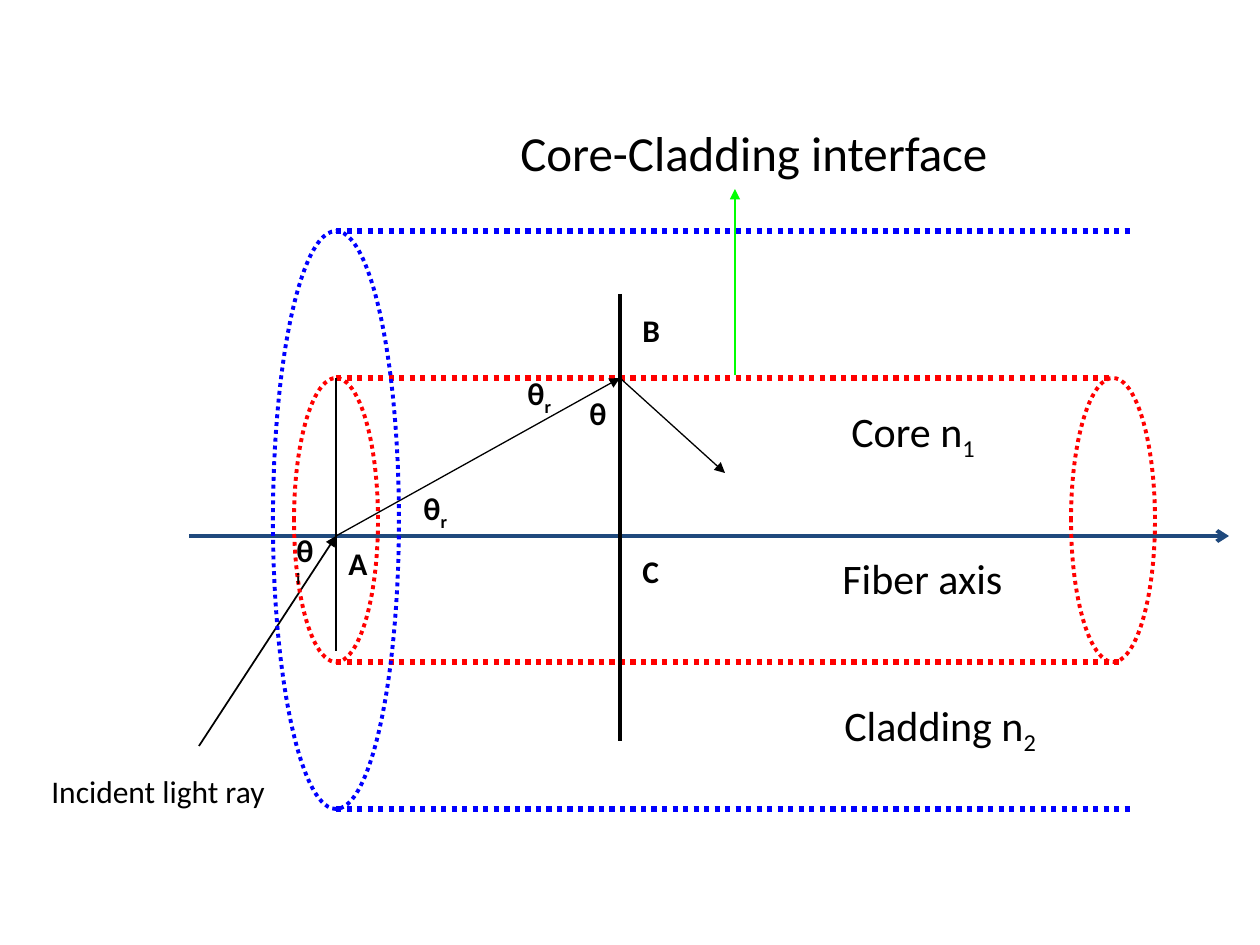
from lxml import etree
from pptx import Presentation
from pptx import util as u
from pptx.dml.color import RGBColor
from pptx.enum import dml, shapes, text
from pptx.oxml.ns import qn

THEME = {
    "font": "Calibri",
    "ink": "000000", "clad": "0000FF", "core": "FF0000",
    "axis": "1F497D", "mark": "00FF00",
    "head": 28, "part": 24, "note": 18, "tiny": 9,
}
PX = u.Inches(1) / 126

# Key positions in px
FACE, WALL = 336, 620                    # entry face, normal at point B
CLAD_TOP, CORE_TOP, AXIS, CORE_LOW, CLAD_LOW = 231, 378, 536, 662, 809

# left, top, width, height, colour
RINGS = [
    (273, CLAD_TOP, 126, CLAD_LOW - CLAD_TOP, "clad"),
    (294, CORE_TOP, 84, CORE_LOW - CORE_TOP, "core"),
    (1071, CORE_TOP, 84, CORE_LOW - CORE_TOP, "core"),
]

# start, end, colour, points, dotted, arrowhead
LINES = [
    ((FACE, CLAD_TOP), (1134, CLAD_TOP), "clad", 3, True, None),
    ((FACE, CORE_TOP), (1113, CORE_TOP), "core", 3, True, None),
    ((FACE, CORE_LOW), (1124, CORE_LOW), "core", 3, True, None),
    ((FACE, CLAD_LOW), (1134, CLAD_LOW), "clad", 3, True, None),
    ((189, AXIS), (1229, AXIS), "axis", 2.25, False, "arrow"),
    ((199, 746), (FACE, AXIS), "ink", 1, False, "triangle"),
    ((735, 375), (735, 189), "mark", 0.75, False, "triangle"),
    ((WALL, 294), (WALL, 741), "ink", 2.25, False, None),
    ((FACE, AXIS), (WALL, CORE_TOP), "ink", 0.75, False, "triangle"),
    ((WALL, CORE_TOP), (725, 473), "ink", 0.75, False, "triangle"),
    ((FACE, CORE_TOP), (FACE, 651), "ink", 0.75, False, None),
]

# left, top, width, height, size, bold, main text, suffix, suffix style
LABELS = [
    (508, 116, 494, 72, "head", False, "Core-Cladding interface", "", ""),
    (830, 546, 185, 63, "part", False, "Fiber axis", "", ""),
    (839, 399, 149, 71, "part", False, "Core n", "1", "sub"),
    (832, 693, 217, 71, "part", False, "Cladding n", "2", "sub"),
    (336, 538, 44, 50, "note", True, "A", "", ""),
    (630, 305, 43, 50, "note", True, "B", "", ""),
    (630, 546, 42, 50, "note", True, "C", "", ""),
    (411, 483, 49, 55, "note", True, "θ", "r", "sub"),
    (284, 525, 45, 50, "note", True, "θ", "i", "tiny"),
    (515, 368, 49, 55, "note", True, "θ", "r", "sub"),
    (577, 388, 42, 50, "note", True, "θ", "", ""),
    (39, 766, 241, 50, "note", False, "Incident light ray", "", ""),
]


def scale(*vals):
    return [round(v * PX) for v in vals]


def tint(name):
    return RGBColor.from_string(THEME[name])


def stroke(line, hue, width, dots):
    line.color.rgb = tint(hue)
    line.width = u.Pt(width)
    if dots:
        line.dash_style = dml.MSO_LINE.ROUND_DOT    # sysDot


def add_ring(slide, x, y, w, h, hue):
    ring = slide.shapes.add_shape(shapes.MSO_SHAPE.OVAL, *scale(x, y, w, h))
    ring.shadow.inherit = False
    ring.fill.background()
    stroke(ring.line, hue, 2.25, True)


def add_line(slide, start, end, hue, width, dots, tip):
    line = slide.shapes.add_connector(
        shapes.MSO_CONNECTOR.STRAIGHT, *scale(*start, *end))
    stroke(line.line, hue, width, dots)
    props = line._element.spPr
    if tip:
        etree.SubElement(props.find(qn("a:ln")), qn("a:tailEnd"), type=tip)
    etree.SubElement(props, qn("a:effectLst"))


def add_run(para, words, size, bold):
    run = para.add_run()
    run.text = words
    font = run.font
    font.name, font.size, font.bold = THEME["font"], u.Pt(THEME[size]), bold
    font.color.rgb = tint("ink")
    return run


def add_label(slide, x, y, w, h, size, bold, words, tail, style):
    frame = slide.shapes.add_textbox(*scale(x, y, w, h)).text_frame
    frame.word_wrap = False
    frame.auto_size = text.MSO_AUTO_SIZE.SHAPE_TO_FIT_TEXT
    para = frame.paragraphs[0]
    add_run(para, words, size, bold)
    if tail:
        run = add_run(para, tail, "tiny" if style == "tiny" else size, bold)
        if style == "sub":
            run._r.get_or_add_rPr().set("baseline", "-25000")


def main():
    deck = Presentation()
    deck.slide_width, deck.slide_height = scale(1260, 945)
    slide = deck.slides.add_slide(deck.slide_layouts[6])
    for build, rows in ((add_line, LINES), (add_ring, RINGS),
                        (add_label, LABELS)):
        for row in rows:
            build(slide, *row)
    deck.save("out.pptx")


if __name__ == "__main__":
    main()
